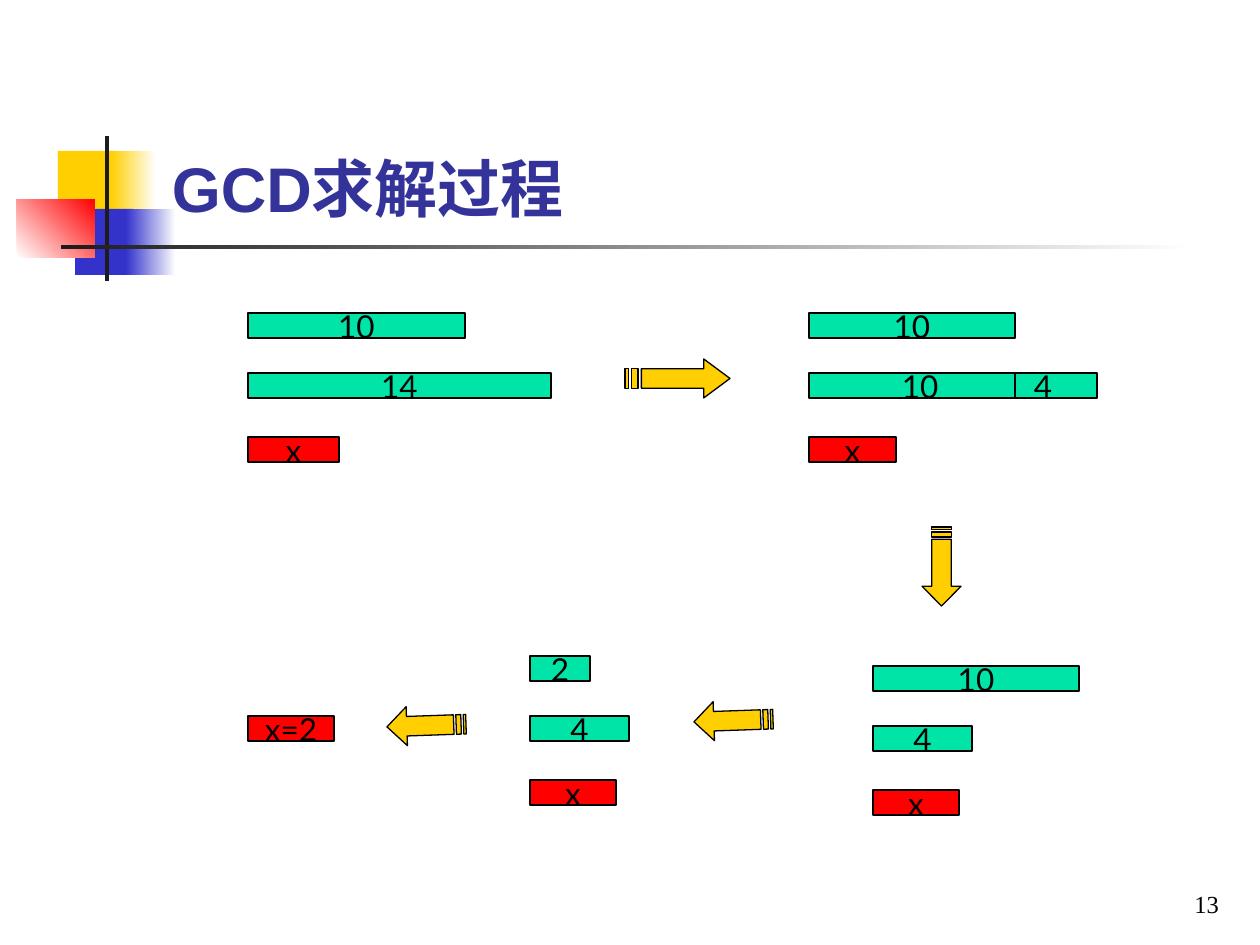
from lxml.etree import SubElement
from pptx import Presentation
from pptx.dml.color import RGBColor
from pptx.enum.shapes import MSO_CONNECTOR as Connector, MSO_SHAPE as Shape
from pptx.enum.text import MSO_ANCHOR as Anchor, PP_ALIGN as Align
from pptx.oxml.ns import qn
from pptx.util import Inches, Pt

SCALE = 914400 / 126
GREEN, RED, YELLOW, BLUE = "00E4A8", "FF0000", "FFCF01", "3333CC"
BLACK, DARK, WHITE, TITLE_BLUE = "000000", "1C1C1C", "FFFFFF", "333399"
BAR_HEIGHT = 25
ROW_OFFSETS = (0, 60, 124)


def px(length):
    return round(length * SCALE)


def color(hex_string):
    return RGBColor.from_string(hex_string)


def write(shape, text, size=18, font="Lato", fill=BLACK, bold=False,
          align=Align.CENTER, anchor=Anchor.MIDDLE, wrap=False, margins=(0, 0, 0, 0)):
    """Put one formatted paragraph in a shape; margins are left, top, right, bottom."""
    frame = shape.text_frame
    frame.word_wrap = wrap
    frame.vertical_anchor = anchor
    (frame.margin_left, frame.margin_top,
     frame.margin_right, frame.margin_bottom) = map(px, margins)
    para = frame.paragraphs[0]
    para.alignment = align
    span = para.add_run()
    span.text = text
    span.font.name = font
    span.font.size = Pt(size)
    span.font.bold = bold
    span.font.color.rgb = color(fill)
    return para


def add_text(page, box, text, **style):
    return write(page.shapes.add_textbox(*map(px, box)), text, wrap=True,
                 margins=(13, 6, 13, 6), anchor=Anchor.BOTTOM, **style)


def outline(shape):
    shape.line.color.rgb = color(BLACK)
    shape.line.width = Pt(0.75)


def add_rect(shapes, box, *fills, angle=0):
    """Add a borderless rectangle: one fill is solid, two make a gradient."""
    rect = shapes.add_shape(Shape.RECTANGLE, *map(px, box))
    rect.shadow.inherit = False
    rect.line.fill.background()
    if len(fills) == 1:
        rect.fill.solid()
        rect.fill.fore_color.rgb = color(fills[0])
    else:
        rect.fill.gradient()
        rect.fill.gradient_angle = angle
        for stop, fill in zip(rect.fill.gradient_stops, fills):
            stop.color.rgb = color(fill)
    return rect


def add_ornament(page, left, top):
    """Coloured squares with a vertical bar and a fading rule."""
    parts = [
        ((41, 15, 60, 66), (YELLOW,), 0),
        ((94, 15, 45, 66), (YELLOW, WHITE), 0),
        ((58, 73, 58, 66), (BLUE,), 0),
        ((109, 73, 50, 66), (BLUE, WHITE), 0),
        ((0, 63, 78, 59), (WHITE, RED), 45),
        ((88, 0, 4, 145), (DARK,), 0),
        ((44, 109, 1134, 4), (DARK, WHITE), 0),
    ]
    for (x, y, width, height), fills, angle in parts:
        add_rect(page.shapes, (left + x, top + y, width, height), *fills, angle=angle)


def add_bar(shapes, left, top, width, fill):
    bar = add_rect(shapes, (left, top, width, BAR_HEIGHT), fill)
    outline(bar)
    return bar


def add_bars(page, left, top, bars):
    """Stack bars given as (label, width); the last one is the unknown."""
    group = page.shapes.add_group_shape()
    fills = (GREEN, GREEN, RED)
    for offset, fill, (label, width) in zip(ROW_OFFSETS, fills, bars):
        bar = add_bar(group.shapes, left, top + offset, width, fill)
        if label:
            write(bar, label)
    return group


def add_split_bars(page, left, top):
    """Bars whose second row is divided into 10 and 4."""
    group = add_bars(page, left, top, [("10", 206), ("", 288), ("x", 87)])
    para = write(group.shapes[1], "10\t4", align=Align.LEFT, wrap=True,
                 margins=(93, 0, 0, 0))
    tabs = SubElement(para._p.get_or_add_pPr(), qn("a:tabLst"))
    SubElement(tabs, qn("a:tab"), pos=str(px(132)), algn="l")
    x, y = left + 206, top + ROW_OFFSETS[1]
    divider = group.shapes.add_connector(
        Connector.STRAIGHT, px(x), px(y), px(x), px(y + BAR_HEIGHT))
    outline(divider)
    SubElement(divider._element.spPr, qn("a:effectLst"))


def add_striped_arrow(page, left, top, width, height, rotation=0):
    """Arrow drawn on a 32 by 4 grid, with two stripes for a tail."""
    head = [(24, 0), (24, 1), (5, 1), (5, 3), (24, 3), (24, 4), (32, 2)]
    stripes = [[(x1, 1), (x1, 3), (x2, 3), (x2, 1)] for x1, x2 in ((2, 4), (0, 1))]
    builder = page.shapes.build_freeform(
        *head[0], scale=(px(width) / 32, px(height) / 4))
    builder.add_line_segments(head[1:])
    for stripe in stripes:
        builder.move_to(*stripe[0])
        builder.add_line_segments(stripe[1:])
    arrow = builder.convert_to_shape(px(left), px(top))
    arrow.rotation = rotation
    arrow.shadow.inherit = False
    arrow.fill.solid()
    arrow.fill.fore_color.rgb = color(YELLOW)
    outline(arrow)


def main():
    deck = Presentation()
    deck.slide_width, deck.slide_height = Inches(10), Inches(7.5)
    page = deck.slides.add_slide(deck.slide_layouts[6])

    add_ornament(page, 17, 136)
    add_text(page, (159, 29, 1073, 202), "GCD求解过程", size=36, font="Arial",
             fill=TITLE_BLUE, bold=True, align=Align.LEFT)

    add_bars(page, 248, 313, [("10", 217), ("14", 303), ("x", 91)])
    add_split_bars(page, 809, 313)
    add_bars(page, 873, 666, [("10", 206), ("4", 99), ("x", 86)])
    add_bars(page, 530, 656, [("2", 60), ("4", 99), ("x", 86)])
    write(add_bar(page.shapes, 248, 716, 86, RED), "x=2")

    add_striped_arrow(page, 625, 359, 105, 39)
    for left, top, rotation in ((902, 547, 90), (694, 701, 178), (387, 706, 178)):
        add_striped_arrow(page, left, top, 79, 39, rotation)

    add_text(page, (970, 861, 262, 63), "13", size=14, font="Times New Roman",
             align=Align.RIGHT)
    deck.save("out.pptx")


if __name__ == "__main__":
    main()
